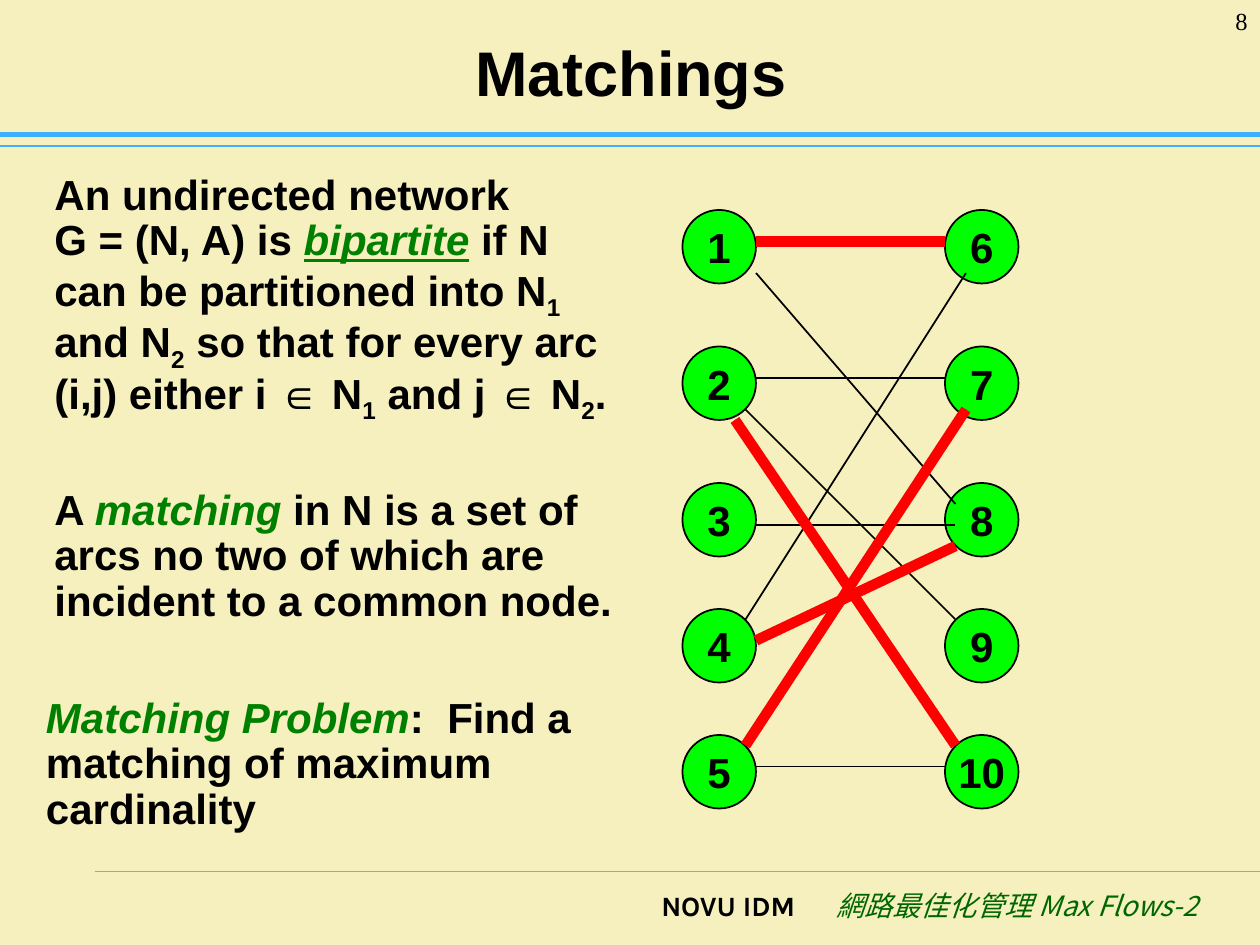
import pptx
import pptx.util
import pptx.dml.color
import pptx.enum.shapes
import pptx.enum.text
import pptx.oxml.ns
import lxml.etree

COLS, ROWS = 120, 90
THEME = {
    "bg": "F5F0BD", "ink": "000000", "term": "008000", "footer": "006600",
    "node": "00FF00", "match": "FF0000", "rule": "3DB0FF", "base_rule": "33CCFF",
    "title": 36, "body": 24, "foot": 16, "page": 14,
    "thin": 1, "thick": 6, "hair": 0.75, "bar": 2.5,
    "font": "Arial", "org_font": "Karla", "cjk_font": "Noto Sans CJK SC",
    "page_font": "Times New Roman",
}

BODY = [
    ((4, 16, 56, 24.6), [
        ("An undirected network ", ""), ("\n", ""), ("G = (N, A) is ", ""),
        ("bipartite", "term underline"),
        (" if N can be partitioned into N", ""), ("1", "sub"),
        (" and N", ""), ("2", "sub"),
        (" so that for every arc (i,j) either i ∈ N", ""), ("1", "sub"),
        (" and j ∈ N", ""), ("2", "sub"), (".", "")]),
    ((4, 46, 56, 14.2), [
        ("A ", ""), ("matching", "term"),
        (" in N is a set of arcs no two of which are incident to a common node.", "")]),
    ((3.2, 65.8, 53.2, 14.2), [
        ("Matching Problem", "term"),
        (":  Find a matching of maximum cardinality", "")]),
]

NODE_SIZE = 7
NODE_COLS = (65, 90)
NODE_ROWS = (20, 33, 46, 58, 70)
EDGES = {
    (2, 7): (72, 36, 90, 36), (2, 9): (71, 39, 91, 59),
    (2, 10): (70, 40, 91, 71), (5, 10): (72, 73, 90, 73),
    (5, 7): (71, 71, 92, 39), (1, 6): (72, 23, 90, 23),
    (1, 8): (72, 26, 91, 48), (3, 8): (72, 50, 91, 50),
    (4, 6): (71, 59, 92, 26), (4, 8): (72, 61, 91, 52),
}
MATCHING = [(2, 10), (5, 7), (1, 6), (4, 8)]
RULES = [
    ((9, 83, COLS, 83), "base_rule", "hair"),
    ((0, 13.9, COLS, 13.9), "rule", "hair"),
    ((0, 12.8, COLS, 12.8), "rule", "bar"),
]

ALIGN = pptx.enum.text.PP_ALIGN
ANCHOR = pptx.enum.text.MSO_ANCHOR
SHAPE = pptx.enum.shapes.MSO_SHAPE

prs = pptx.Presentation()
prs.slide_width, prs.slide_height = pptx.util.Inches(10), pptx.util.Inches(7.5)
s = prs.slides.add_slide(prs.slide_layouts[6])


def color(key):
    return pptx.dml.color.RGBColor.from_string(THEME[key])


def grid(box):
    steps = (prs.slide_width / COLS, prs.slide_height / ROWS) * 2
    return [round(n * step) for n, step in zip(box, steps)]


def add_run(p, text, size, font="font", ink="ink", bold=True, italic=False):
    r = p.add_run()
    r.text = text
    r.font.size = pptx.util.Pt(THEME[size])
    r.font.name = THEME[font]
    r.font.color.rgb = color(ink)
    r.font.bold, r.font.italic = bold, italic
    return r


def add_text(box, align=ALIGN.LEFT, anchor=ANCHOR.TOP):
    tf = s.shapes.add_textbox(*grid(box)).text_frame
    tf.word_wrap = True
    tf.vertical_anchor = anchor
    p = tf.paragraphs[0]
    p.alignment = align
    return p


def add_line(ends, ink, width):
    line = s.shapes.add_connector(
        pptx.enum.shapes.MSO_CONNECTOR.STRAIGHT, *grid(ends))
    line.line.color.rgb = color(ink)
    line.line.width = pptx.util.Pt(THEME[width])
    lxml.etree.SubElement(line._element.spPr, pptx.oxml.ns.qn("a:effectLst"))


def add_node(label, col, row):
    sp = s.shapes.add_shape(SHAPE.OVAL, *grid((col, row, NODE_SIZE, NODE_SIZE)))
    sp.shadow.inherit = False
    sp.fill.solid()
    sp.fill.fore_color.rgb = color("node")
    sp.line.color.rgb = color("ink")
    sp.line.width = pptx.util.Pt(THEME["thin"])
    tf = sp.text_frame
    tf.word_wrap = False
    tf.vertical_anchor = ANCHOR.MIDDLE
    p = tf.paragraphs[0]
    p.alignment = ALIGN.CENTER
    add_run(p, label, "body")


s.background.fill.solid()
s.background.fill.fore_color.rgb = color("bg")

for rule in RULES:
    add_line(*rule)

add_run(add_text((46, 84, 30.9, 6), ALIGN.RIGHT), "NOVU IDM", "foot", "org_font")
r = add_run(add_text((77, 84, 38.3, 6), ALIGN.RIGHT), "網路最佳化管理 Max Flows-2",
            "foot", "cjk_font", "footer", False, True)
ea = lxml.etree.SubElement(r.font._element, pptx.oxml.ns.qn("a:ea"))
ea.set("typeface", THEME["cjk_font"])

add_run(add_text((6.1, 1.6, 108, 10.4), ALIGN.CENTER, ANCHOR.MIDDLE), "Matchings", "title")

for box, runs in BODY:
    p = add_text(box)
    p.line_spacing = 0.9
    p.space_before = pptx.util.Pt(6)
    for text, style in runs:
        if text == "\n":
            p.add_line_break()
            continue
        term = "term" in style
        r = add_run(p, text, "body", ink="term" if term else "ink", italic=term)
        if "underline" in style:
            r.font.underline = True
        if style == "sub":
            r.font._element.set("baseline", "-25000")

for i, col in enumerate(NODE_COLS):
    for j, row in enumerate(NODE_ROWS):
        add_node(str(i * len(NODE_ROWS) + j + 1), col, row)

for ends in EDGES.values():
    add_line(ends, "ink", "thin")
for pair in MATCHING:
    add_line(EDGES[pair], "match", "thick")

add_run(add_text((110, 0, 10, 6), ALIGN.RIGHT), "8", "page", "page_font", bold=False)

prs.save("out.pptx")
